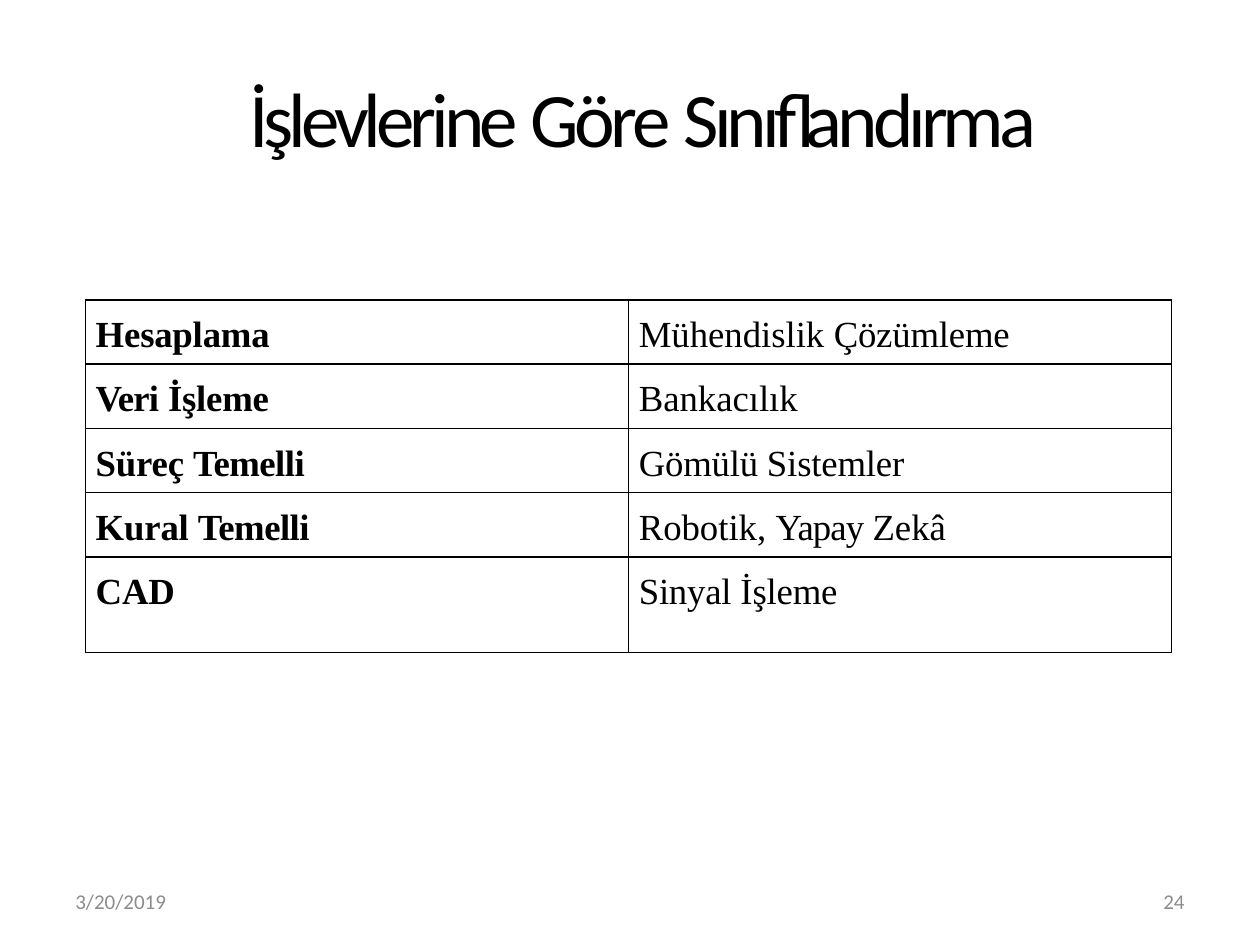
"""Build a slide that classifies software by function in a two-column table."""
from dataclasses import dataclass

from lxml.etree import SubElement
from pptx import Presentation
from pptx.dml.color import RGBColor
from pptx.enum.text import MSO_ANCHOR as Anchor, MSO_AUTO_SIZE as AutoSize, PP_ALIGN as Align
from pptx.oxml.ns import qn
from pptx.util import Inches, Pt

BLACK = RGBColor(0, 0, 0)
GRAY = RGBColor(0x8C, 0x8C, 0x8C)
SERIF, SANS = "Times New Roman", "Calibri"


@dataclass
class Span:
    text: str
    spacing: float = 0
    font: str = SERIF


@dataclass
class Footer:
    text: str
    left: float
    align: Align


TITLE = [
    Span(" ", -10.4),
    Span("İşlevlerine ", -2.9, SANS),
    Span("Göre ", -2.5, SANS),
    Span("Sınıflandırma\t", -2.9, SANS),
]
ROWS = [
    ([Span("Hesaplama", -0.1)], [Span("Mühendislik "), Span("Çözümleme", -0.1)]),
    ([Span("Veri", -0.5), Span(" İşleme", -0.1)], [Span("Bankacılık")]),
    ([Span("Süreç ", -0.1), Span("Temelli", -0.3)], [Span("Gömülü Sistemler", -0.1)]),
    ([Span("Kural ", -0.1), Span("Temelli", -0.3)],
     [Span("Robotik, "), Span("Yapay ", -0.5), Span("Zekâ")]),
    ([Span("CAD", -0.1)], [Span("Sinyal İşleme", -0.1)]),
]
ROW_HEIGHTS = [0.51] * 4 + [0.76]
FOOTERS = [Footer("3/20/2019", 0.5, Align.LEFT), Footer("24", 7.17, Align.RIGHT)]


def apply(target, formats: dict) -> None:
    for name, value in formats.items():
        setattr(target, name, value)


def write(para, spans: list[Span], size: float, color: RGBColor, bold: bool = False) -> None:
    for span in spans:
        run = para.add_run()
        run.text = span.text
        apply(run.font, {"name": span.font, "size": Pt(size), "bold": bold})
        run.font.color.rgb = color
        if span.spacing:
            run.font._element.set("spc", str(round(span.spacing * 100)))


def indent(para, margin: float, before: float):
    para.space_before = Pt(before)
    properties = para._p.get_or_add_pPr()
    properties.set("marL", str(Inches(margin)))
    properties.set("indent", "0")
    return properties


def add_title(page) -> None:
    title = page.shapes.title
    apply(title, {"left": Inches(0.5), "top": Inches(0.3),
                  "width": Inches(9), "height": Inches(1.25)})
    frame = title.text_frame
    apply(frame, {"margin_left": 0, "margin_top": Inches(0.01), "margin_right": 0,
                  "margin_bottom": 0, "vertical_anchor": Anchor.MIDDLE,
                  "word_wrap": True, "auto_size": AutoSize.SHAPE_TO_FIT_TEXT})
    para = frame.paragraphs[0]
    para.alignment = Align.CENTER
    tabs = SubElement(indent(para, 0.15, 1), qn("a:tabLst"))
    SubElement(tabs, qn("a:tab"), pos=str(Inches(8.32)), algn="l")
    write(para, TITLE, 44, BLACK)


def add_borders(cell) -> None:
    properties = cell._tc.get_or_add_tcPr()
    for side in "LRTB":
        line = SubElement(properties, qn(f"a:ln{side}"), w=str(Pt(1)))
        fill = SubElement(line, qn("a:solidFill"))
        SubElement(fill, qn("a:srgbClr"), val=str(BLACK))


def add_table(page) -> None:
    table = page.shapes.add_table(len(ROWS), 2, Inches(0.68), Inches(2.38),
                                  Inches(8.62), Inches(sum(ROW_HEIGHTS))).table
    apply(table, {"first_row": False, "horz_banding": False})
    for row, height, texts in zip(table.rows, ROW_HEIGHTS, ROWS):
        row.height = Inches(height)
        for column, (cell, spans) in enumerate(zip(row.cells, texts)):
            apply(cell, {"margin_left": 0, "margin_top": Inches(0.12),
                         "margin_right": 0, "margin_bottom": 0})
            add_borders(cell)
            cell.fill.background()
            para = cell.text_frame.paragraphs[0]
            indent(para, 0.08, 8.9)
            write(para, spans, 21, BLACK, bold=column == 0)


def add_footer(page, footer: Footer) -> None:
    box = page.shapes.add_textbox(Inches(footer.left), Inches(6.95), Inches(2.33), Inches(0.4))
    apply(box.text_frame, {"word_wrap": True, "vertical_anchor": Anchor.MIDDLE})
    para = box.text_frame.paragraphs[0]
    para.alignment = footer.align
    write(para, [Span(footer.text, font=SANS)], 12, GRAY)


def main() -> None:
    deck = Presentation()
    apply(deck, {"slide_width": Inches(10), "slide_height": Inches(7.5)})
    page = deck.slides.add_slide(deck.slide_layouts[5])
    add_title(page)
    add_table(page)
    for footer in FOOTERS:
        add_footer(page, footer)
    deck.save("out.pptx")


if __name__ == "__main__":
    main()
